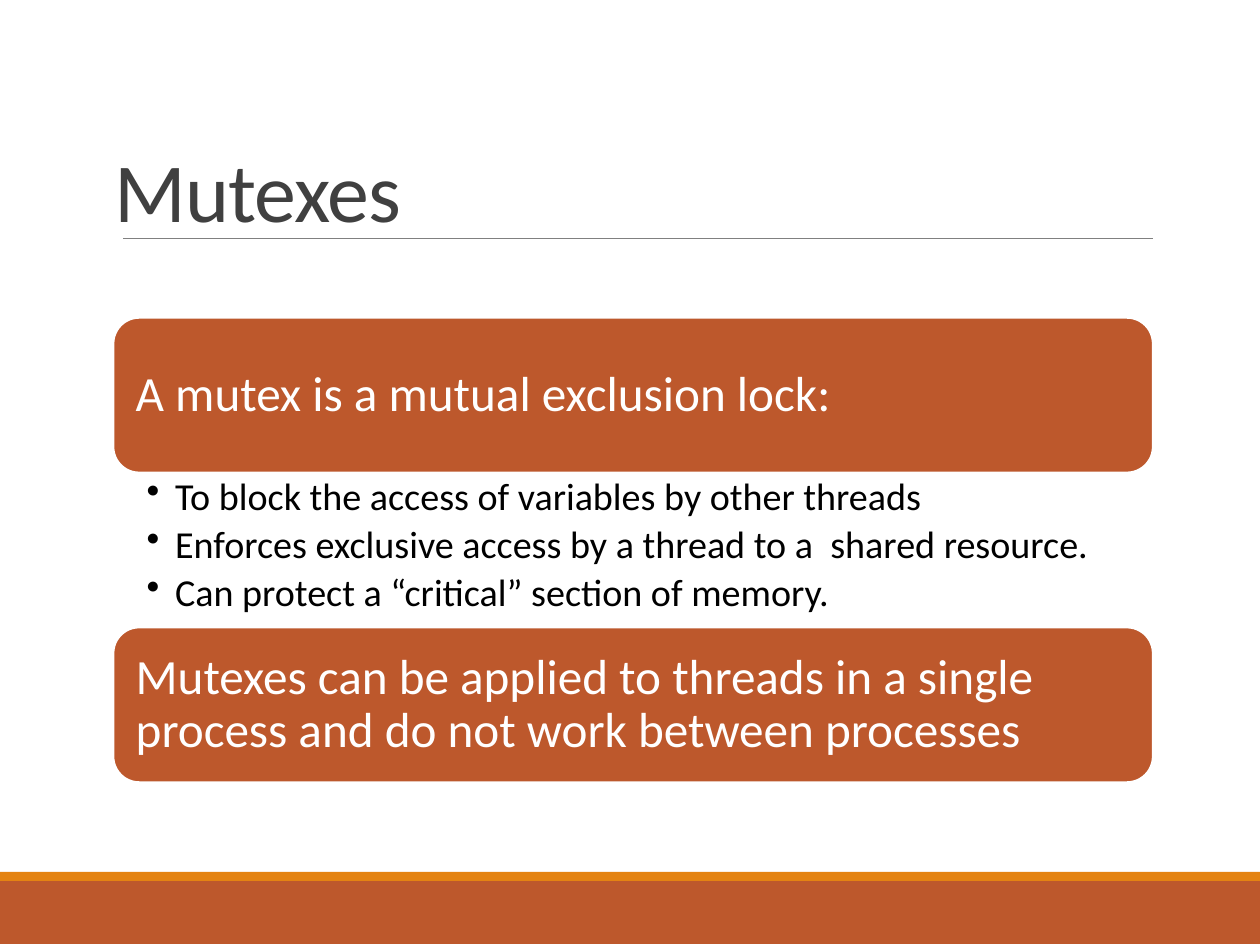
from lxml import etree
from pptx import Presentation
from pptx import util as u
from pptx.dml.color import RGBColor
from pptx.enum import shapes, text
from pptx.oxml.ns import qn

THEME = {
    "font": "Calibri",
    "rust": "BD582C", "orange": "E48312", "rule": "808080",
    "white": "FFFFFF", "title": "404040", "body": "000000",
    "title_size": 52.9, "card_size": 31, "bullet_size": 24,
}

deck = Presentation()
deck.slide_width, deck.slide_height = u.Inches(11.03), u.Inches(8.26)
slide = deck.slides.add_slide(deck.slide_layouts[5])


def area(left, top, width, height):
    """Turn percentages of the slide's size into lengths."""
    across, down = deck.slide_width / 100, deck.slide_height / 100
    return [u.Emu(round(share * unit)) for share, unit in
            ((left, across), (top, down), (width, across), (height, down))]


def write(box, lines, *, size, color, insets, anchor, spacing=0.9,
          after=0, bullet=None, tracking=None):
    frame = box.text_frame
    frame.word_wrap = True
    frame.auto_size = text.MSO_AUTO_SIZE.NONE
    frame.vertical_anchor = anchor
    (frame.margin_left, frame.margin_top,
     frame.margin_right, frame.margin_bottom) = map(u.Inches, insets)
    for index, line in enumerate(lines):
        para = frame.paragraphs[0] if index == 0 else frame.add_paragraph()
        para.alignment = text.PP_ALIGN.LEFT
        para.line_spacing = spacing
        para.space_before, para.space_after = u.Pt(0), u.Pt(after)
        if bullet:
            properties = para._p.get_or_add_pPr()
            properties.set("marL", str(u.Inches(0.25)))
            properties.set("indent", str(-u.Inches(0.25)))
            etree.SubElement(properties, qn("a:buChar")).set("char", bullet)
        span = para.add_run()
        span.text = line
        span.font.name = THEME["font"]
        span.font.size = u.Pt(size)
        span.font.color.rgb = RGBColor.from_string(color)
        if tracking:
            span._r.get_or_add_rPr().set("spc", str(tracking))


# Footer bands
for top, height, color in ((93.33, 6.67, "rust"), (92.36, 0.97, "orange")):
    band = slide.shapes.add_shape(shapes.MSO_SHAPE.RECTANGLE,
                                  *area(0, top, 100, height))
    band.shadow.inherit = False
    band.fill.solid()
    band.fill.fore_color.rgb = RGBColor.from_string(THEME[color])
    band.line.fill.background()

# Rule under the title
left, top, width, _ = area(9.8, 25.3, 81.7, 0)
rule = slide.shapes.add_connector(shapes.MSO_CONNECTOR.STRAIGHT,
                                  left, top, left + width, top)
rule.line.color.rgb = RGBColor.from_string(THEME["rule"])
rule.line.width = u.Pt(0.5)
etree.SubElement(rule._element.spPr, qn("a:effectLst"))

# Title
title = slide.shapes.title
title.left, title.top, title.width, title.height = area(9, 4.24, 82.5, 21.19)
write(title, ["Mutexes"], size=THEME["title_size"], color=THEME["title"],
      insets=(0.01, 0.01, 0, 0), anchor=text.MSO_ANCHOR.BOTTOM,
      spacing=0.85, tracking=-60)

# Three equal rows: card, bullets, card
FIRST_ROW, ROW = 33.66, 16.4
cards = {
    0: "A mutex is a mutual exclusion lock:",
    2: "Mutexes can be applied to threads in a single process "
       "and do not work between processes",
}
for row, line in cards.items():
    card = slide.shapes.add_shape(shapes.MSO_SHAPE.ROUNDED_RECTANGLE,
                                  *area(9, FIRST_ROW + row * ROW, 82.5, ROW))
    card.shadow.inherit = False
    card.fill.solid()
    card.fill.fore_color.rgb = RGBColor.from_string(THEME["rust"])
    card.line.color.rgb = RGBColor.from_string(THEME["white"])
    card.line.width = u.Pt(1.25)
    # The rounded shape already insets its text by about 0.07 inch
    write(card, [line], size=THEME["card_size"], color=THEME["white"],
          insets=(0.13,) * 4, anchor=text.MSO_ANCHOR.MIDDLE)

bullets = slide.shapes.add_textbox(*area(9, FIRST_ROW + ROW, 82.5, ROW))
write(bullets, [
    "To block the access of variables by other threads",
    "Enforces exclusive access by a thread to a  shared resource.",
    "Can protect a “critical” section of memory.",
], size=THEME["bullet_size"], color=THEME["body"],
      insets=(0.29, 0.04, 0.24, 0.04), anchor=text.MSO_ANCHOR.TOP,
      after=4.3, bullet="•")

deck.save("out.pptx")
